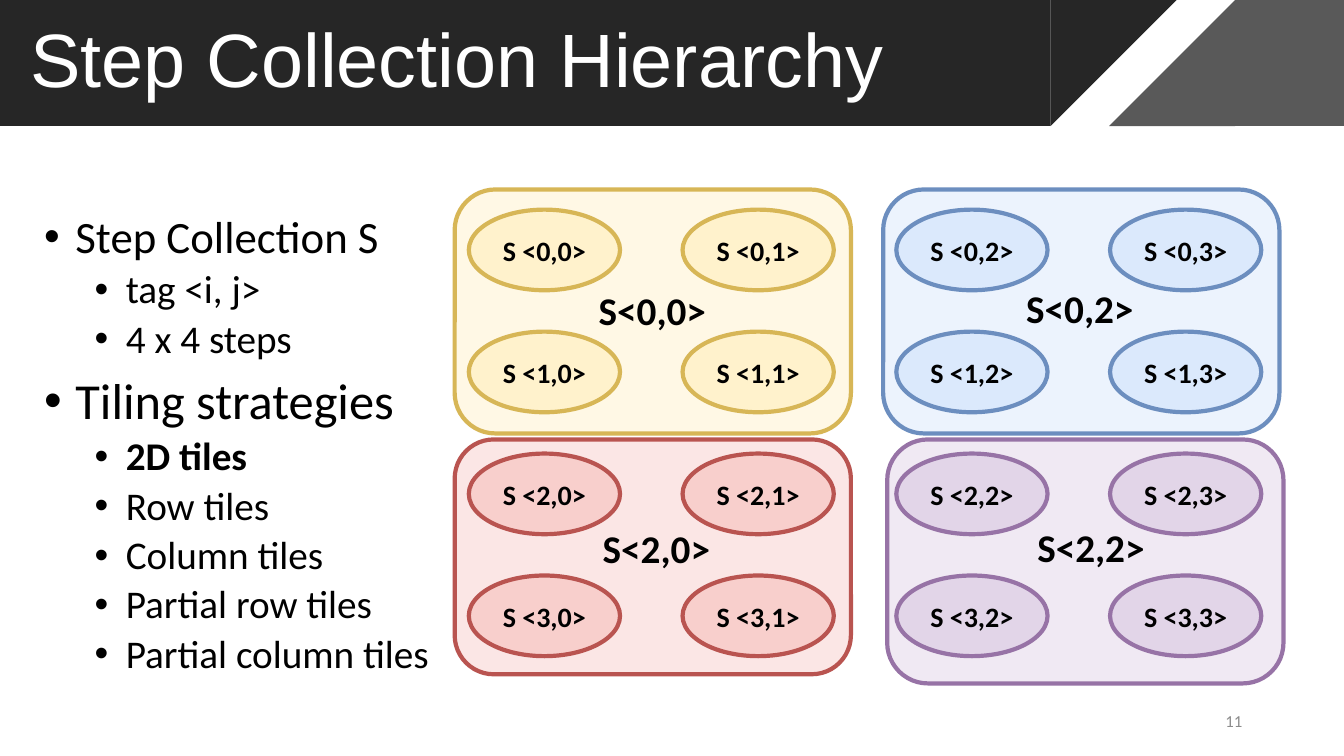
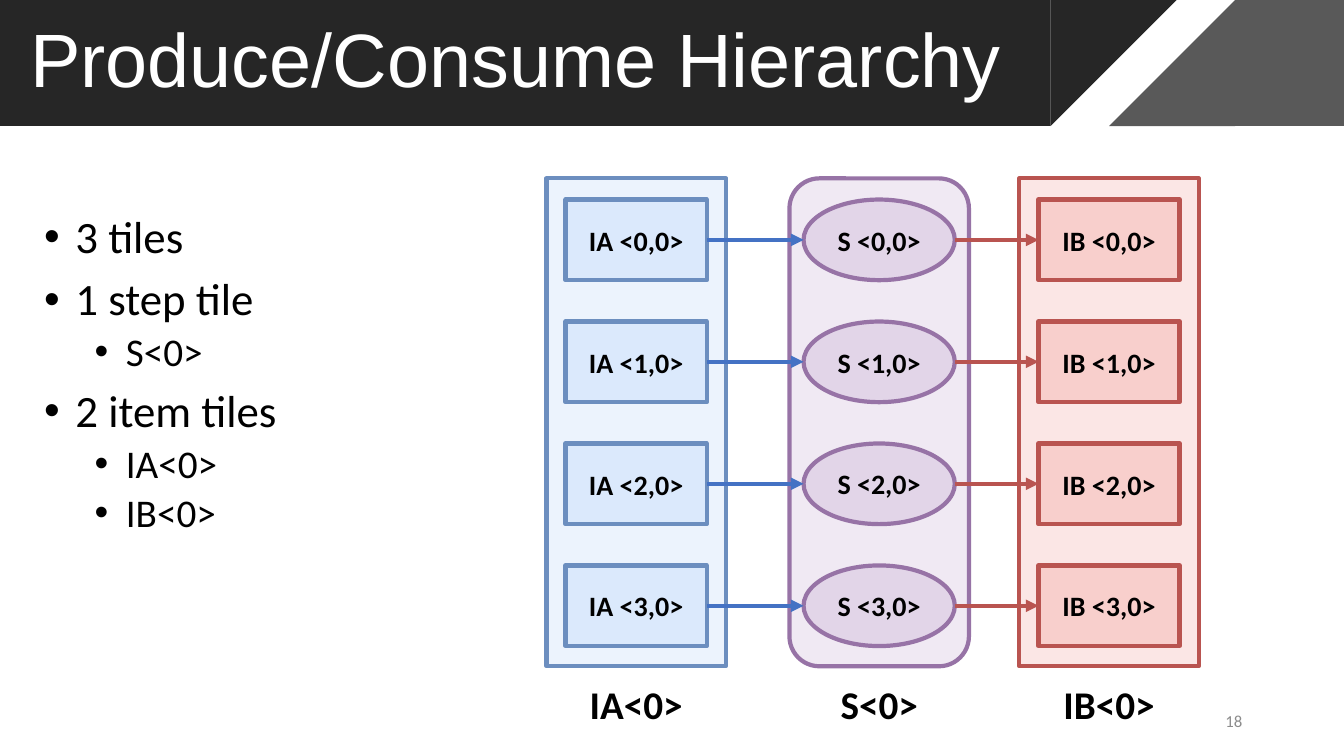
from lxml.etree import SubElement
from pptx import Presentation
from pptx.dml.color import RGBColor
from pptx.enum.shapes import MSO_CONNECTOR, MSO_SHAPE
from pptx.enum.text import MSO_ANCHOR, MSO_AUTO_SIZE, PP_ALIGN
from pptx.oxml.ns import qn
from pptx.util import Inches, Pt

WIDE, HIGH, BAND = 13.33, 7.5, 1.25
DARK, GREY, BLACK, WHITE, PALE = "262626", "595959", "000000", "FFFFFF", "8C8C8C"
HEAD, TEXT = "Arial", "Calibri"
# Fill and line of each tile family
GOLD = ("FFF2CC", "D7B656")
BLUE = ("DBE9FC", "6C8EBF")
RED = ("F8CFCC", "B95450")
PLUM = ("E2D5E8", "9773A6")
ARROW = "4472C4"
STEP, ITEM = (1.5, 0.8), (1.4, 0.8)
ROW = 1.21


def color(code):
    return RGBColor.from_string(code)


def style(para, size, tone=BLACK, face=TEXT, bold=False):
    font = para.font
    font.name, font.size, font.bold = face, Pt(size), bold
    font.color.rgb = color(tone)


def shape(slide, kind, box, fill, line=None):
    item = slide.shapes.add_shape(kind, *map(Inches, box))
    item.shadow.inherit = False
    item.fill.solid()
    item.fill.fore_color.rgb = color(fill)
    if line:
        item.line.color.rgb = color(line)
        item.line.width = Pt(3)
    else:
        item.line.fill.background()
    return item


def bands(slide):
    """Draw the header bands once and move them to the slide's layout."""
    layout = slide.slide_layout
    for mark in list(layout.placeholders)[1:]:
        mark.element.getparent().remove(mark.element)
    rect, wedge = MSO_SHAPE.RECTANGLE, MSO_SHAPE.ISOSCELES_TRIANGLE
    left, right = 10.42, 12.25
    parts = [
        shape(slide, rect, (0, 0, left, BAND), DARK),
        shape(slide, rect, (right, 0, WIDE - right, BAND), GREY),
        shape(slide, wedge, (left, 0, BAND, BAND), DARK),
        shape(slide, wedge, (right - BAND, 0, BAND, BAND), GREY),
    ]
    for part in parts[2:]:
        part.adjustments[0] = 1
    parts[2].rotation = 180
    for place, part in enumerate(parts, 2):
        layout.shapes.element.insert(place, part.element)


def title(slide, text):
    item = slide.shapes.title
    item.left, item.top, item.width, item.height = map(Inches, (0.2, 0, 10.8, BAND))
    frame = item.text_frame
    frame.text = text
    frame.auto_size = MSO_AUTO_SIZE.NONE
    frame.word_wrap = True
    frame.vertical_anchor = MSO_ANCHOR.MIDDLE
    para = frame.paragraphs[0]
    para.alignment = PP_ALIGN.LEFT
    para.line_spacing = 0.9
    style(para, 54, WHITE, HEAD)


def label(slide, text, box, size=28, tone=BLACK, bold=True, align=PP_ALIGN.CENTER):
    frame = slide.shapes.add_textbox(*map(Inches, box)).text_frame
    frame.word_wrap = False
    frame.vertical_anchor = MSO_ANCHOR.MIDDLE
    para = frame.paragraphs[0]
    para.text = text
    para.alignment = align
    style(para, size, tone, bold=bold)


def number(slide, text):
    label(slide, text, (9.42, 6.95, 3, 0.4), 12, PALE, False, PP_ALIGN.RIGHT)


def bullets(slide, wide, rows):
    """Rows hold level, text, size and weight."""
    box = slide.shapes.add_textbox(*map(Inches, (0.34, 2.08, wide, 4.76)))
    frame = box.text_frame
    frame.word_wrap = True
    for place, (level, text, size, bold) in enumerate(rows):
        para = frame.add_paragraph() if place else frame.paragraphs[0]
        para.text = text
        para.level = level
        para.line_spacing = 0.9
        para.space_before = Pt((5 if level else 10) if place else 0)
        props = para._p.get_or_add_pPr()
        props.set("marL", str(Inches(0.31 + 0.5 * level)))
        props.set("indent", str(-Inches(0.31)))
        SubElement(props, qn("a:buFont"), typeface=HEAD)
        SubElement(props, qn("a:buChar"), char="•")
        style(para, size, bold=bold)


def top(text, size=32):
    return 0, text, size, False


def sub(text, bold=False):
    return 1, text, 28, bold


def panel(slide, kind, box, hue):
    """Draw a half-transparent tile behind its nodes."""
    item = shape(slide, kind, box, *hue)
    tint = item.element.spPr.find(qn("a:solidFill"))[0]
    SubElement(tint, qn("a:alpha"), val="50000")


def node(slide, kind, spot, size, hue, text):
    item = shape(slide, kind, (*spot, *size), *hue)
    frame = item.text_frame
    frame.word_wrap = False
    frame.vertical_anchor = MSO_ANCHOR.MIDDLE
    para = frame.paragraphs[0]
    para.text = text
    para.alignment = PP_ALIGN.CENTER
    style(para, 20, bold=True)
    return item


def link(slide, start, end, tone):
    """Run an arrow from the right side of start to the left side of end."""
    line = slide.shapes.add_connector(
        MSO_CONNECTOR.STRAIGHT,
        start.left + start.width, start.top + start.height // 2,
        end.left, end.top + end.height // 2)
    if start.auto_shape_type == MSO_SHAPE.RECTANGLE:
        line.begin_connect(start, 3)
    if end.auto_shape_type == MSO_SHAPE.RECTANGLE:
        line.end_connect(end, 1)
    line.line.color.rgb = color(tone)
    line.line.width = Pt(3)
    SubElement(line.line._get_or_add_ln(), qn("a:tailEnd"), type="triangle")
    SubElement(line._element.spPr, qn("a:effectLst"))


def steps(slide):
    title(slide, "Step Collection Hierarchy")
    hues = ((GOLD, BLUE), (RED, PLUM))
    tiles = [
        ((4.51, 1.88, 3.93, 2.42), GOLD),
        ((8.76, 1.88, 3.93, 2.42), BLUE),
        ((4.51, 4.36, 3.93, 2.33), RED),
        ((8.8, 4.36, 3.93, 2.42), PLUM),
    ]
    for box, hue in tiles:
        panel(slide, MSO_SHAPE.ROUNDED_RECTANGLE, box, hue)
    bullets(slide, 4.06, [
        top("Step Collection S"), sub("tag <i, j>"), sub("4 x 4 steps"),
        top("Tiling strategies", 36), sub("2D tiles", True), sub("Row tiles"),
        sub("Column tiles"), sub("Partial row tiles"), sub("Partial column tiles"),
    ])
    for row in range(4):
        for col in range(4):
            spot = (4.65 + 2.12 * col, 2.08 + ROW * row)
            node(slide, MSO_SHAPE.OVAL, spot, STEP, hues[row // 2][col // 2],
                 f"S <{row},{col}>")
    names = [("S<0,0>", 5.83, 2.79), ("S<0,2>", 10.07, 2.77),
             ("S<2,0>", 5.87, 5.15), ("S<2,2>", 10.18, 5.14)]
    for text, left, high in names:
        label(slide, text, (left, high, 1.28, 0.57))
    number(slide, "11")


def flow(slide):
    title(slide, "Produce/Consume Hierarchy")
    rect = MSO_SHAPE.RECTANGLE
    wide = 1.78
    lanes = [
        ("IA", 5.42, rect, rect, ITEM, BLUE),
        ("S", 7.83, MSO_SHAPE.ROUNDED_RECTANGLE, MSO_SHAPE.OVAL, STEP, PLUM),
        ("IB", 10.11, rect, rect, ITEM, RED),
    ]
    bullets(slide, 4.55, [
        top("3 tiles"), top("1 step tile"), sub("S<0>"),
        top("2 item tiles"), sub("IA<0>"), sub("IB<0>"),
    ])
    nodes = []
    for name, left, back, kind, size, hue in lanes:
        panel(slide, back, (left, 1.77, wide, 4 * ROW), hue)
        inset = left + (wide - size[0]) / 2
        nodes.append([
            node(slide, kind, (inset, 1.98 + ROW * row), size, hue, f"{name} <{row},0>")
            for row in range(4)
        ])
        label(slide, f"{name}<0>", (left, 6.7, wide, 0.57))
    for first, step, last in zip(*nodes):
        link(slide, first, step, ARROW)
        link(slide, step, last, RED[1])
    number(slide, "18")


def main():
    deck = Presentation()
    deck.slide_width, deck.slide_height = Inches(WIDE), Inches(HIGH)
    layout = deck.slide_layouts[5]
    pages = [deck.slides.add_slide(layout) for _ in range(2)]
    bands(pages[0])
    steps(pages[0])
    flow(pages[1])
    deck.save("out.pptx")


if __name__ == "__main__":
    main()
